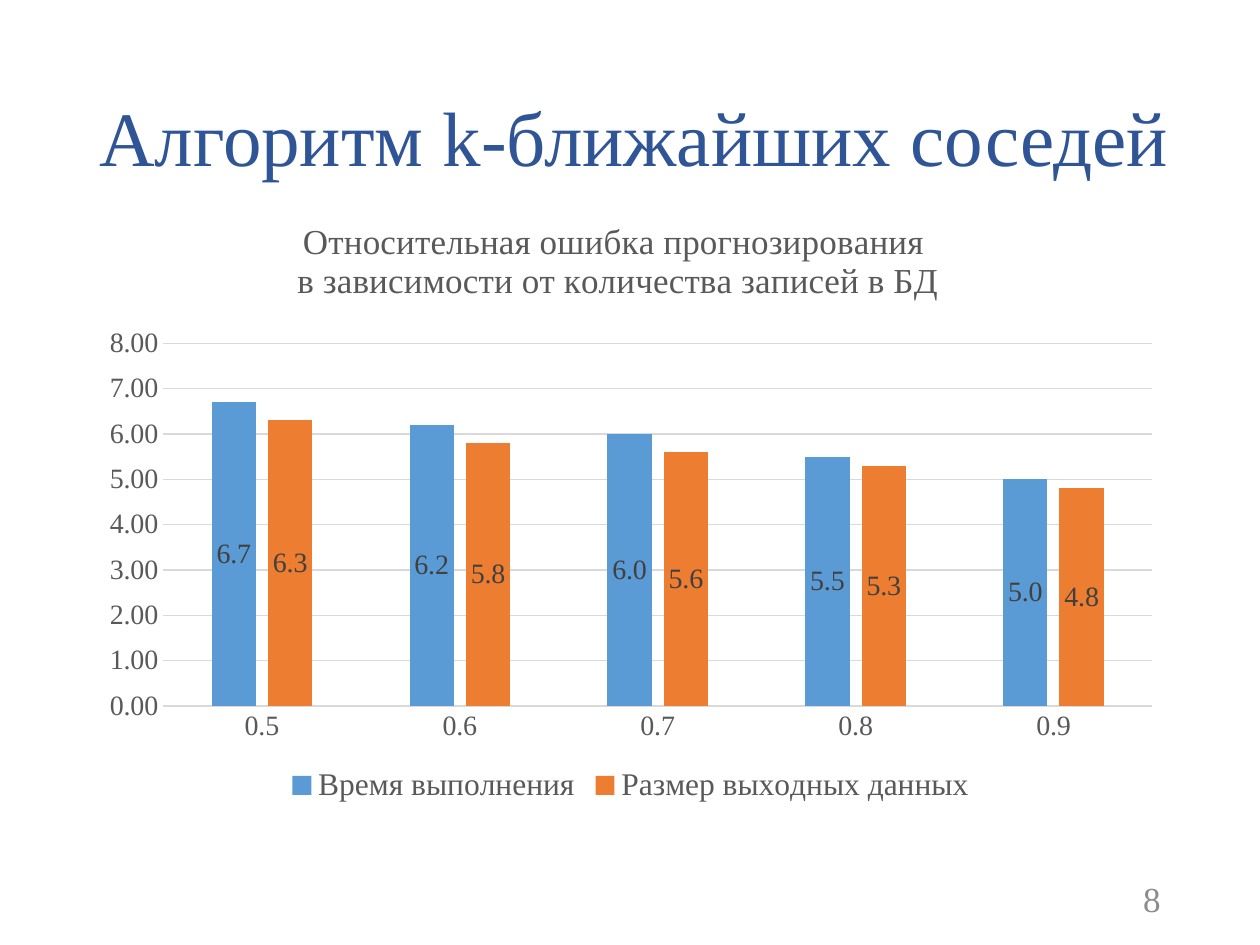
from dataclasses import dataclass

from lxml import etree
from pptx import Presentation
from pptx import util as u
from pptx.chart.data import CategoryChartData
from pptx.dml.color import RGBColor
from pptx.enum import chart as ch, text
from pptx.oxml import ns


@dataclass(frozen=True)
class Theme:
    """Colours, type sizes and the typeface of the deck."""
    face: str = "Times New Roman"
    heading: str = "2F5597"
    number: str = "8C8C8C"
    body: str = "595959"
    label: str = "404040"
    rule: str = "D9D9D9"
    series: tuple = ("5B9BD5", "ED7D31")
    heading_size: int = 44
    caption_size: int = 20
    legend_size: int = 18
    axis_size: int = 16


THEME = Theme()


def assign(target, values):
    """Set each attribute of target from a dict."""
    for name, value in values.items():
        setattr(target, name, value)


def style_font(font, size, colour):
    """Give a font the deck typeface, a size and a colour."""
    assign(font, {"name": THEME.face, "size": u.Pt(size), "bold": False})
    font.color.rgb = RGBColor.from_string(colour)


def style_line(line):
    """Draw a thin grey chart line."""
    line.width = u.Pt(0.75)
    line.color.rgb = RGBColor.from_string(THEME.rule)


def add_text(page, box, words, size, colour, align):
    """Place one line of vertically centred text in a box."""
    frame = page.shapes.add_textbox(*map(u.Inches, box)).text_frame
    assign(frame, {"word_wrap": True, "vertical_anchor": text.MSO_ANCHOR.MIDDLE})
    para = frame.paragraphs[0]
    assign(para, {"alignment": align, "line_spacing": 0.9})
    span = para.add_run()
    span.text = words
    style_font(span.font, size, colour)


def set_layout(parent, after, values):
    """Fix the place of a chart part as fractions of the chart."""
    for old in parent.findall(ns.qn("c:layout")):
        parent.remove(old)
    layout = etree.Element(ns.qn("c:layout"))
    manual = etree.SubElement(layout, ns.qn("c:manualLayout"))
    for tag, value in values.items():
        etree.SubElement(manual, ns.qn("c:" + tag)).set("val", str(value))
    if after is None:
        parent.insert(0, layout)
    else:
        after.addnext(layout)


def add_caption(chart, lines):
    """Write the chart title, one paragraph a line."""
    chart.has_title = True
    title = chart.chart_title
    title.include_in_layout = False
    frame = title.text_frame
    for index, words in enumerate(lines):
        para = frame.add_paragraph() if index else frame.paragraphs[0]
        span = para.add_run()
        span.text = words
        style_font(span.font, THEME.caption_size, THEME.body)
    element = title._element
    set_layout(element, element.find(ns.qn("c:tx")),
               {"xMode": "edge", "yMode": "edge", "x": 0.19, "y": 0.02})


def style_axes(chart):
    """Format both axes and the gridlines."""
    for axis, pattern in ((chart.category_axis, "0%"), (chart.value_axis, "0.00")):
        assign(axis, {"major_tick_mark": ch.XL_TICK_MARK.NONE,
                      "minor_tick_mark": ch.XL_TICK_MARK.NONE})
        assign(axis.tick_labels, {"number_format": pattern,
                                  "number_format_is_linked": False})
        style_font(axis.tick_labels.font, THEME.axis_size, THEME.body)
    style_line(chart.category_axis.format.line)
    value_axis = chart.value_axis
    assign(value_axis, {"minimum_scale": 0, "maximum_scale": 8, "major_unit": 1})
    value_axis.format.line.fill.background()
    style_line(value_axis.major_gridlines.format.line)


def add_error_chart(page, box, caption, categories, rows):
    """Place the clustered column chart of prediction errors."""
    data = CategoryChartData()
    data.categories = categories
    for name, values in rows.items():
        data.add_series(name, values)
    chart = page.shapes.add_chart(ch.XL_CHART_TYPE.COLUMN_CLUSTERED,
                                  *map(u.Inches, box), data).chart
    style_font(chart.font, THEME.axis_size, THEME.body)
    add_caption(chart, caption)
    style_axes(chart)
    chart.has_legend = True
    assign(chart.legend, {"position": ch.XL_LEGEND_POSITION.BOTTOM,
                          "include_in_layout": False})
    style_font(chart.legend.font, THEME.legend_size, THEME.body)
    plot = chart.plots[0]
    assign(plot, {"gap_width": 219, "overlap": -27, "vary_by_categories": False})
    for series, colour in zip(plot.series, THEME.series):
        series.format.fill.solid()
        series.format.fill.fore_color.rgb = RGBColor.from_string(colour)
        labels = series.data_labels
        assign(labels, {"show_value": True, "number_format": "#,##0.0",
                        "number_format_is_linked": False,
                        "position": ch.XL_LABEL_POSITION.CENTER})
        style_font(labels.font, THEME.axis_size, THEME.label)
    area = chart._chartSpace.find(".//" + ns.qn("c:plotArea"))
    set_layout(area, None,
               {"layoutTarget": "inner", "xMode": "edge", "yMode": "edge",
                "x": 0.07, "y": 0.23, "w": 0.91, "h": 0.6})


def build_chart_page(deck):
    """Add the page with heading, chart and page number."""
    page = deck.slides.add_slide(deck.slide_layouts[6])
    add_text(page, (0.69, 0.4, 8.81, 1.45), "Алгоритм k-ближайших соседей",
             THEME.heading_size, THEME.heading, text.PP_ALIGN.LEFT)
    add_text(page, (7.06, 6.95, 2.25, 0.4), "8",
             THEME.caption_size, THEME.number, text.PP_ALIGN.RIGHT)
    add_error_chart(
        page, (0.69, 1.62, 8.63, 4.8),
        ("Относительная ошибка прогнозирования ",
         "в зависимости от количества записей в БД"),
        (0.5, 0.6, 0.7, 0.8, 0.9),
        {"Время выполнения": (6.7, 6.2, 6, 5.5, 5),
         "Размер выходных данных": (6.3, 5.8, 5.6, 5.3, 4.8)})


deck = Presentation()
assign(deck, {"slide_width": u.Inches(10), "slide_height": u.Inches(7.5)})
build_chart_page(deck)
deck.save("out.pptx")
